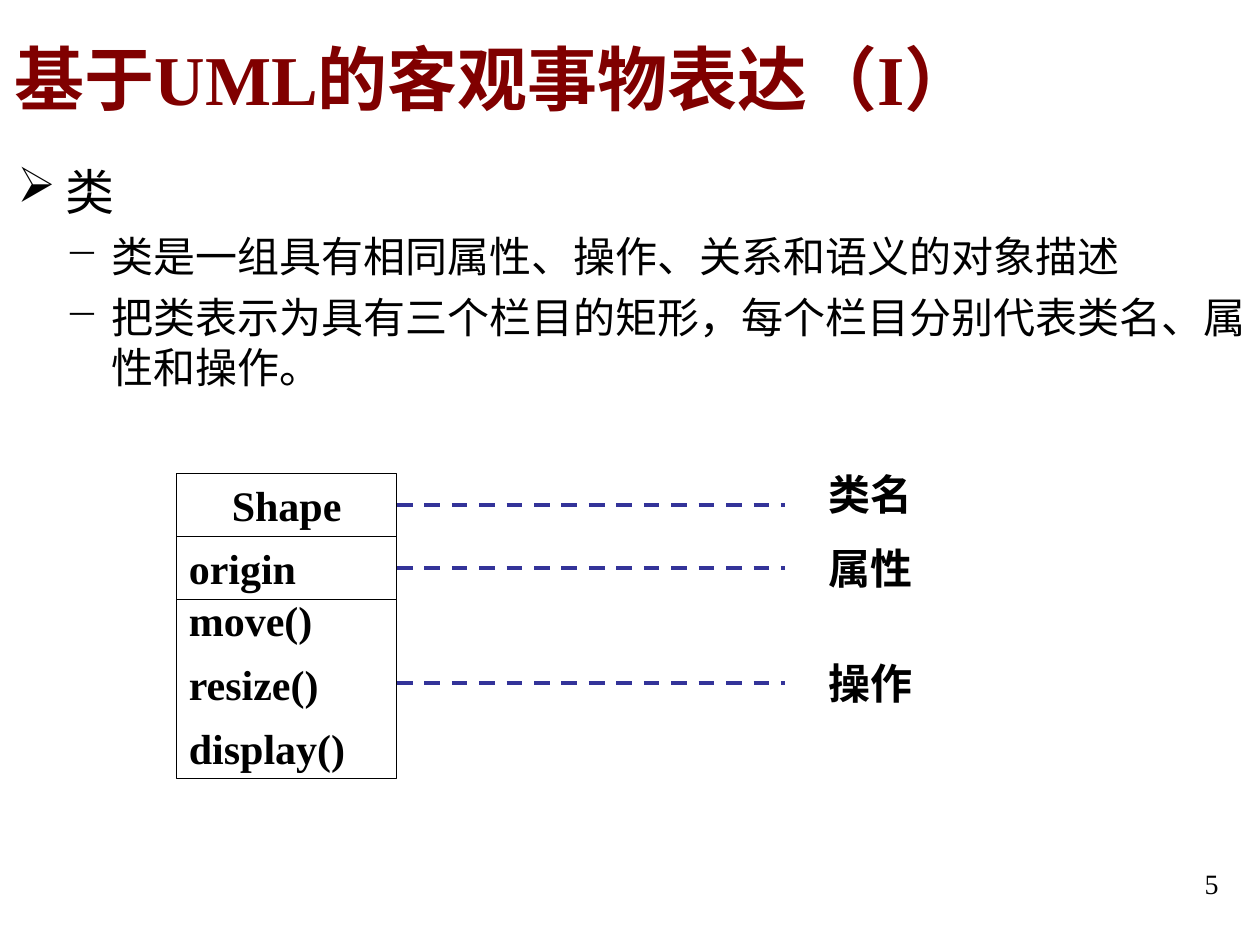
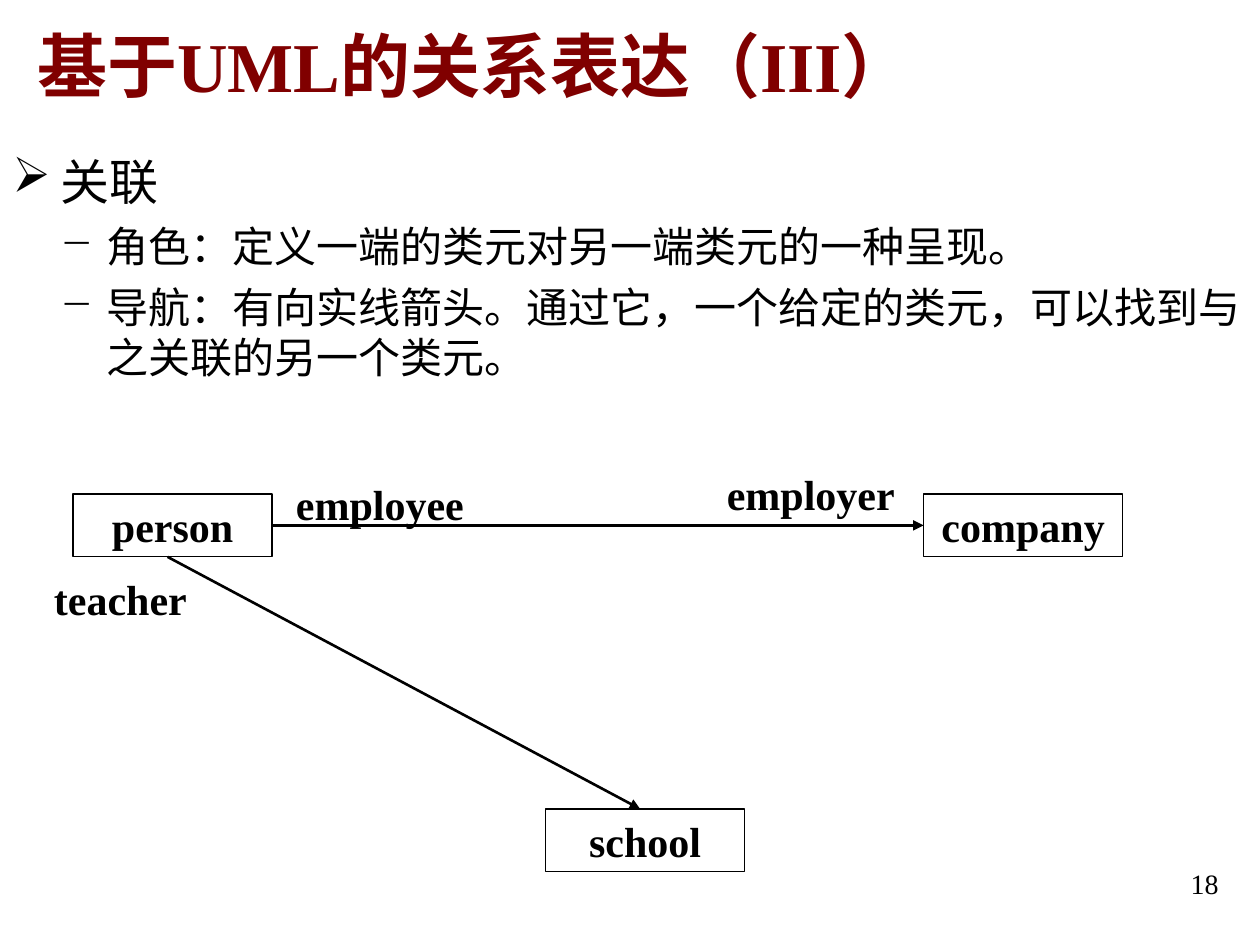
from lxml import etree
from pptx import Presentation
from pptx.dml.color import RGBColor
from pptx.enum import dml, shapes, text
from pptx.oxml import ns
from pptx.util import Inches, Pt

SERIF, SANS = "Times New Roman", "Arial"
BLACK, MAROON, INDIGO = "000000", "800000", "333399"
ROW = 0.5


def color(value):
    """Turn a hex string into a colour."""
    return RGBColor.from_string(value)


def add_run(paragraph, words, size, face=SERIF, ink=BLACK, bold=False):
    """Append one formatted run."""
    run = paragraph.add_run()
    run.text = words
    run.font.size, run.font.name, run.font.bold = Pt(size), face, bold
    run.font.color.rgb = color(ink)


def prepare_frame(shape, anchor=text.MSO_ANCHOR.TOP):
    """Wrap and anchor the text of a shape."""
    frame = shape.text_frame
    frame.word_wrap = True
    frame.vertical_anchor = anchor
    return frame


def add_text(slide, box, words, size=24, ink=BLACK, bold=True,
             align=text.PP_ALIGN.LEFT, anchor=text.MSO_ANCHOR.TOP):
    """Place a single line of text in a box."""
    frame = prepare_frame(slide.shapes.add_textbox(*map(Inches, box)), anchor)
    frame.paragraphs[0].alignment = align
    add_run(frame.paragraphs[0], words, size, ink=ink, bold=bold)


def add_compartment(parent, box, lines, align=text.PP_ALIGN.CENTER, spacing=None):
    """Draw an outlined rectangle holding bold lines."""
    rect = parent.add_shape(shapes.MSO_SHAPE.RECTANGLE, *map(Inches, box))
    rect.shadow.inherit = False
    rect.fill.background()
    rect.line.color.rgb = color(BLACK)
    rect.line.width = Pt(0.75)
    frame = prepare_frame(rect)
    for index, line in enumerate(lines):
        paragraph = frame.add_paragraph() if index else frame.paragraphs[0]
        paragraph.alignment = align
        paragraph.line_spacing = spacing
        paragraph.space_before = Pt(15 if index else 0)
        add_run(paragraph, line, 24, bold=True)


def add_line(slide, start, end, ink, width, dashed=False, arrow=False):
    """Connect two points with a dashed line or an arrow."""
    line = slide.shapes.add_connector(
        shapes.MSO_CONNECTOR.STRAIGHT, *map(Inches, (*start, *end)))
    line.line.color.rgb = color(ink)
    line.line.width = Pt(width)
    if dashed:
        line.line.dash_style = dml.MSO_LINE.DASH
    properties = line._element.spPr
    if arrow:
        outline = properties.find(ns.qn("a:ln"))
        etree.SubElement(outline, ns.qn("a:tailEnd"), type="triangle")
    etree.SubElement(properties, ns.qn("a:effectLst"))


def add_outline(slide, box, topic, points):
    """Write a topic with an arrow bullet and its points with dashes."""
    frame = prepare_frame(slide.shapes.add_textbox(*map(Inches, box)))
    for index, words in enumerate([topic, *points]):
        paragraph = frame.add_paragraph() if index else frame.paragraphs[0]
        mark, margin, hang, size = ("−", 0.75, 0.37, 24) if index else ("➢", 0.38, 0.38, 28)
        properties = paragraph._p.get_or_add_pPr()
        properties.set("marL", str(Inches(margin)))
        properties.set("indent", str(-Inches(hang)))
        paragraph.level = min(index, 1)
        paragraph.space_before = Pt(6 if index else 0)
        bullet_color = etree.SubElement(properties, ns.qn("a:buClr"))
        etree.SubElement(bullet_color, ns.qn("a:srgbClr"), val=BLACK)
        etree.SubElement(properties, ns.qn("a:buChar"), char=mark)
        add_run(paragraph, words, size, SANS)


def start_slide(deck, title, title_box, number):
    """Add a blank slide with its title and page number."""
    slide = deck.slides.add_slide(deck.slide_layouts[6])
    add_text(slide, title_box, title, 40, MAROON, anchor=text.MSO_ANCHOR.MIDDLE)
    add_text(slide, (7.44, 6.83, 2.33, 0.52), str(number), 16, bold=False,
             align=text.PP_ALIGN.RIGHT)
    return slide


def add_class_diagram(slide, left, top, width=1.75):
    """Draw the three-part class box with its explained compartments."""
    compartments = slide.shapes.add_group_shape().shapes
    add_compartment(compartments, (left, top, width, ROW), ["Shape"])
    add_compartment(compartments, (left, top + ROW, width, ROW), ["origin"],
                    text.PP_ALIGN.LEFT)
    add_compartment(compartments, (left, top + 2 * ROW, width, 1.42),
                    ["move()", "resize()", "display()"], text.PP_ALIGN.LEFT, 0.75)
    edge = left + width
    for meaning, line_drop, label_drop in (
            ("类名", 0.25, -0.09), ("属性", 0.75, 0.5), ("操作", 1.66, 1.41)):
        y = top + line_drop
        add_line(slide, (edge, y), (edge + 3.08, y), INDIGO, 2.25, dashed=True)
        add_text(slide, (edge + 3.33, top + label_drop, width, ROW), meaning)


def add_association_diagram(slide, left, top, width=1.58):
    """Draw the person class navigating to company and school."""
    company, school = (left + 6.75, top), (left + 3.75, top + 2.5)
    for name, corner in (("person", (left, top)), ("company", company), ("school", school)):
        add_compartment(slide.shapes, (*corner, width, ROW), [name])
    middle = top + ROW / 2
    add_line(slide, (left + width, middle), (company[0], middle), BLACK, 1.5, arrow=True)
    add_line(slide, (left + 0.75, top + ROW), (school[0] + 0.75, school[1]),
             BLACK, 1.5, arrow=True)
    for role, across, down in (
            ("employee", 1.67, -0.17), ("teacher", -0.25, 0.58), ("employer", 5.09, -0.25)):
        add_text(slide, (left + across, top + down, width, ROW), role)


def main():
    """Build both slides and save the deck."""
    deck = Presentation()
    deck.slide_width, deck.slide_height = Inches(10), Inches(7.5)

    class_slide = start_slide(deck, "基于UML的客观事物表达（I）", (0.02, -0.01, 8.5, 1.25), 5)
    add_outline(class_slide, (0.04, 1.23, 10, 2.75), "类", [
        "类是一组具有相同属性、操作、关系和语义的对象描述",
        "把类表示为具有三个栏目的矩形，每个栏目分别代表类名、属性和操作。"])
    add_class_diagram(class_slide, 1.4, 3.76)

    association_slide = start_slide(deck, "基于UML的关系表达（III）", (0.2, -0.11, 10, 1.25), 18)
    add_outline(association_slide, (0, 1.15, 10, 2.5), "关联", [
        "角色：定义一端的类元对另一端类元的一种呈现。",
        "导航：有向实线箭头。通过它，一个给定的类元，可以找到与之关联的另一个类元。"])
    add_association_diagram(association_slide, 0.58, 3.92)

    deck.save("out.pptx")


if __name__ == "__main__":
    main()
